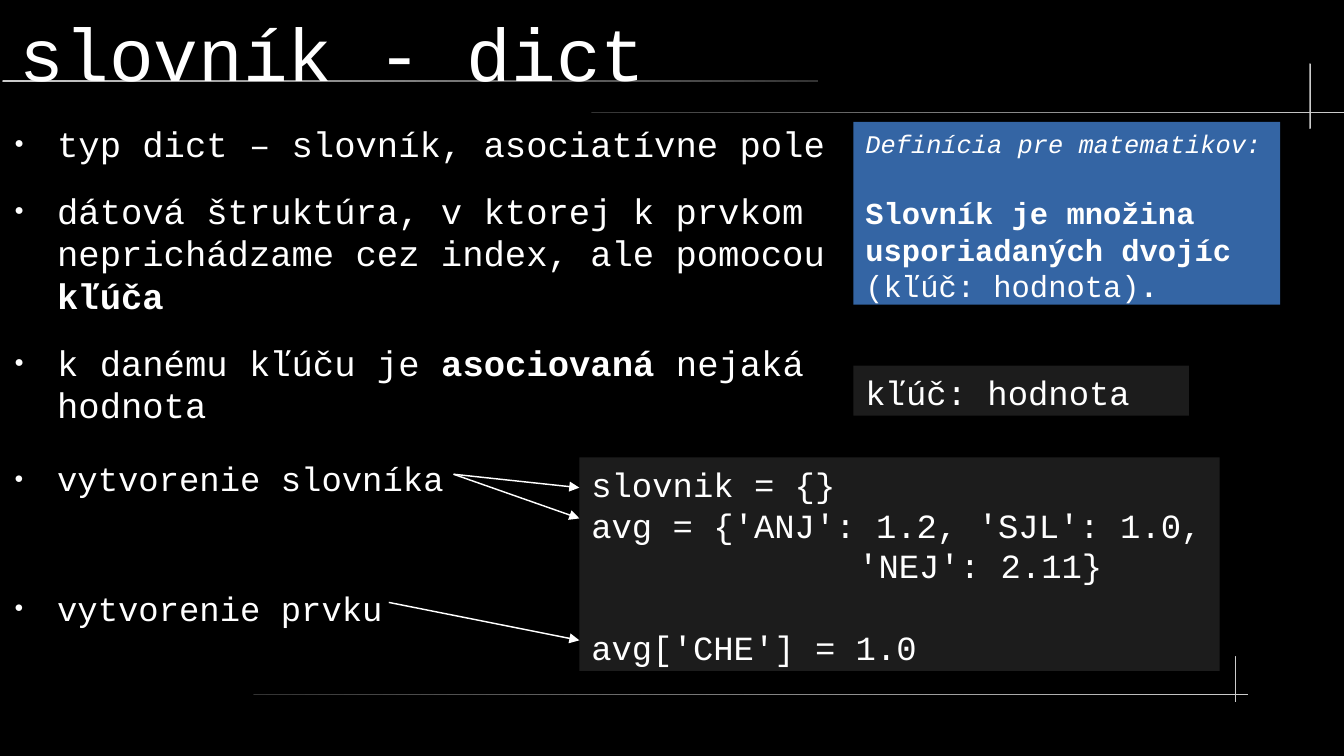
from lxml import etree
from pptx import Presentation
from pptx.dml.color import RGBColor
from pptx.enum.shapes import MSO_CONNECTOR, MSO_SHAPE
from pptx.enum.text import MSO_ANCHOR, MSO_AUTO_SIZE, PP_ALIGN
from pptx.oxml.ns import qn
from pptx.util import Cm, Pt

RECT, ROUNDED = MSO_SHAPE.RECTANGLE, MSO_SHAPE.ROUNDED_RECTANGLE
STRAIGHT = MSO_CONNECTOR.STRAIGHT
TOP, MIDDLE = MSO_ANCHOR.TOP, MSO_ANCHOR.MIDDLE
LEFT, NO_FIT = PP_ALIGN.LEFT, MSO_AUTO_SIZE.NONE

FONT = "Courier New"
WHITE, BLACK, PANEL, BLUE = "FFFFFF", "000000", "1C1C1C", "3465A4"
LIGHT, DARK = "CCCCCC", "333333"
BOLD, ITALIC = {"bold": True}, {"italic": True}

# Paragraph: (size, space before, left indent in cm, [(text, format), ...])
TITLE = [(44, 0, 0, [("slovník - dict", {})])]
FACTS = [
    (21, 0, 1.19, [("typ dict – slovník, asociatívne pole", {})]),
    (21, 14.2, 1.19, [
        ("dátová štruktúra, v ktorej k prvkom neprichádzame cez index, "
         "ale pomocou ", {}),
        ("kľúča", BOLD)]),
    (21, 14.2, 1.19, [("k danému kľúču je ", {}), ("asociovaná", BOLD),
                      (" nejaká hodnota", {})]),
]
STEPS = [
    (20, 0, 1.19, [("vytvorenie slovníka", {})]),
    (20, 52.7, 1.19, [("vytvorenie prvku", {})]),
]
PAIR = [(20, 0, 0, [("kľúč: hodnota", {})])]
CODE = [
    (20, 0, 0, [("slovnik = {}", {})]),
    (20, 0, 0, [("avg = {'ANJ': 1.2, 'SJL': 1.0,", {})]),
    (20, 0, 5.56, [("'NEJ': 2.11}", {})]),
    (20, 24, 0, [("avg['CHE'] = 1.0", {})]),
]
DEFINITION = [
    (15, 0, 0, [("Definícia pre matematikov:", ITALIC)]),
    (18, 21, 0, [("Slovník je množina usporiadaných dvojíc", BOLD)]),
    (18, 0, 0, [("(kľúč: hodnota)", {}), (".", BOLD)]),
]

# Boxes are left, top, width, height in cm
PLACEHOLDERS = [
    ((0.41, 0.2, 26.49, 1.75), TITLE, MIDDLE, False),
    ((0, 2.54, 17.78, 6.35), FACTS, TOP, True),
    ((0, 9.53, 9.45, 4.57), STEPS, TOP, True),
]
PANELS = [
    ((17.78, 7.62, 6.99, 1.04), PAIR, PANEL),
    ((12.07, 9.53, 13.34, 4.45), CODE, PANEL),
    ((17.78, 2.54, 8.89, 3.81), DEFINITION, BLUE),
]
GUIDES = [
    ((0.05, 1.67, 17, 0.04), LIGHT, DARK),
    ((12.32, 2.33, 15.68, 0.03), DARK, LIGHT),
    ((27.28, 1.32, 0.03, 1.37), LIGHT, LIGHT),
    ((5.28, 14.45, 20.73, 0.03), DARK, LIGHT),
    ((25.73, 13.67, 0.03, 0.96), LIGHT, LIGHT),
]
ARROWS = [
    (9.45, 9.88, 12.07, 10.16),
    (9.45, 9.88, 12.07, 10.8),
    (8.1, 12.55, 12.07, 13.34),
]


def rgb(color):
    return RGBColor.from_string(color)


def cms(values):
    return [Cm(v) for v in values]


def add_bullet(p):
    pPr = p._p.get_or_add_pPr()
    pPr.set("indent", str(Cm(-0.89)))
    color = etree.SubElement(pPr, qn("a:buClr"))
    etree.SubElement(color, qn("a:srgbClr"), val=WHITE)
    etree.SubElement(pPr, qn("a:buSzPct"), val="45000")
    etree.SubElement(pPr, qn("a:buChar"), char="●")


def write(tf, paragraphs, margins, anchor=TOP, bullets=False):
    frame = dict(zip(("margin_left", "margin_top", "margin_right",
                      "margin_bottom"), cms(margins)))
    frame.update(word_wrap=True, auto_size=NO_FIT, vertical_anchor=anchor)
    for name, value in frame.items():
        setattr(tf, name, value)
    for i, (size, before, indent, runs) in enumerate(paragraphs):
        p = tf.add_paragraph() if i else tf.paragraphs[0]
        p.alignment, p.space_before = LEFT, Pt(before)
        p._p.get_or_add_pPr().set("marL", str(Cm(indent)))
        if bullets:
            add_bullet(p)
        for text, style in runs:
            r = p.add_run()
            r.text = text
            r.font.color.rgb = rgb(WHITE)
            for name, value in {"name": FONT, "size": Pt(size), **style}.items():
                setattr(r.font, name, value)


def add_block(s, kind, box):
    """Add a preset shape without outline or shadow."""
    sp = s.shapes.add_shape(kind, *cms(box))
    sp.shadow.inherit = False
    sp.line.fill.background()
    return sp


def add_guide(s, depth, box, start, end):
    """Add a thin gradient bar behind the text."""
    sp = add_block(s, ROUNDED, box)
    sp.adjustments[0] = 0.5
    sp.fill.gradient()
    sp.fill.gradient_angle = 0
    for stop, color in zip(sp.fill.gradient_stops, (start, end)):
        stop.color.rgb = rgb(color)
    s.shapes._spTree.insert(2 + depth, sp._element)


def add_arrow(s, ends):
    line = s.shapes.add_connector(STRAIGHT, *cms(ends))
    line.line.color.rgb = rgb(WHITE)
    line.line.width = Pt(0.85)
    etree.SubElement(line.line._get_or_add_ln(), qn("a:tailEnd"), type="triangle")
    etree.SubElement(line._element.spPr, qn("a:effectLst"))


def main():
    prs = Presentation()
    prs.slide_width, prs.slide_height = Cm(28), Cm(15.75)
    s = prs.slides.add_slide(prs.slide_layouts[3])
    s.background.fill.solid()
    s.background.fill.fore_color.rgb = rgb(BLACK)

    for sp, (box, text, anchor, bullets) in zip(s.placeholders, PLACEHOLDERS):
        sp.left, sp.top, sp.width, sp.height = cms(box)
        write(sp.text_frame, text, (0, 0, 0, 0), anchor, bullets)
    for depth, guide in enumerate(GUIDES):
        add_guide(s, depth, *guide)
    for box, text, color in PANELS:
        sp = add_block(s, RECT, box)
        sp.fill.solid()
        sp.fill.fore_color.rgb = rgb(color)
        write(sp.text_frame, text, (0.25, 0.13, 0.25, 0.13))
    for ends in ARROWS:
        add_arrow(s, ends)
    prs.save("out.pptx")


if __name__ == "__main__":
    main()
